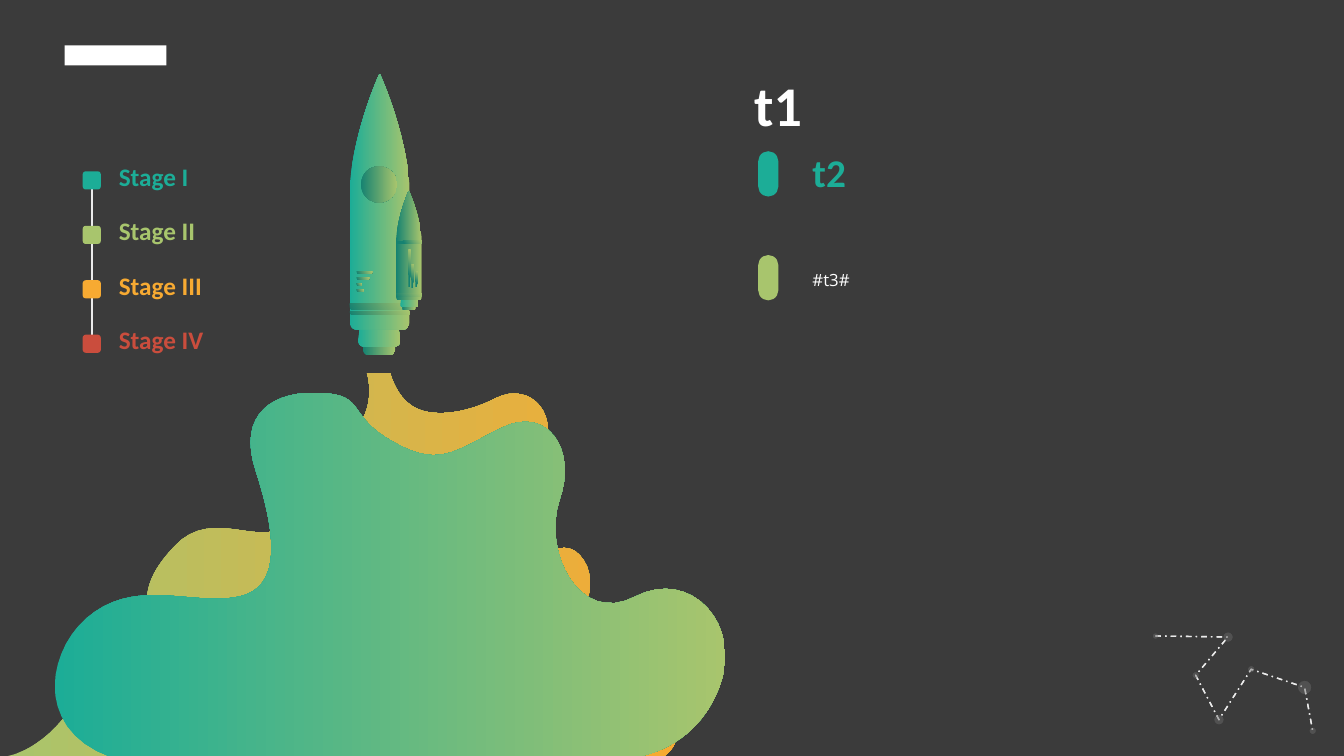
from lxml import etree
from pptx import Presentation
from pptx.dml.color import RGBColor
from pptx.enum.dml import MSO_LINE
from pptx.enum.shapes import MSO_CONNECTOR, MSO_SHAPE
from pptx.enum.text import MSO_ANCHOR, MSO_AUTO_SIZE, PP_ALIGN
from pptx.oxml.ns import qn
from pptx.util import Inches, Pt

RECTANGLE = MSO_SHAPE.RECTANGLE
ROUNDED = MSO_SHAPE.ROUNDED_RECTANGLE
OVAL = MSO_SHAPE.OVAL
TOP, MIDDLE, BOTTOM = MSO_ANCHOR.TOP, MSO_ANCHOR.MIDDLE, MSO_ANCHOR.BOTTOM
GROW, FIXED = MSO_AUTO_SIZE.SHAPE_TO_FIT_TEXT, MSO_AUTO_SIZE.NONE

COLORS = {
    "background": "3B3B3B", "white": "FFFFFF", "teal": "1CAD97", "deep": "158271",
    "green": "A8C56D", "orange": "F7AA32", "red": "CA4D3D", "pale": "EBEBEB",
    "gray": "D8D8D8", "shade": "1E1E1E",
}
STAGES = [("Stage I", "teal"), ("Stage II", "green"),
          ("Stage III", "orange"), ("Stage IV", "red")]
STARS = [(11.46, 6.31, 0.05), (12.18, 6.32, 0.09), (11.86, 6.7, 0.06),
         (12.09, 7.14, 0.09), (12.41, 6.64, 0.06), (12.94, 6.82, 0.13),
         (13.02, 7.25, 0.06)]
FLAME = [
    (3.64, 3.7), (3.64, 3.7, 3.74, 4.01, 3.53, 4.26), (3.33, 4.52, 3.07, 4.18, 2.88, 4.51),
    (2.69, 4.84, 3.13, 4.83, 2.88, 5.16), (2.63, 5.49, 2.12, 5, 1.73, 5.42),
    (1.33, 5.85, 1.57, 5.91, 1.32, 6.16), (1.07, 6.42, 1.14, 6.38, 0.76, 6.95),
    (0.39, 7.52, 0, 7.51, 0, 7.51), (6.57, 7.51), (6.57, 7.51, 6.92, 7.36, 6.63, 6.6),
    (6.33, 5.83, 6.15, 6.66, 5.88, 6.46), (5.61, 6.25, 5.99, 5.87, 5.79, 5.56),
    (5.58, 5.25, 5.42, 5.67, 5.01, 5.28), (4.6, 4.88, 5.14, 5.08, 5.36, 4.59),
    (5.59, 4.11, 5.26, 3.78, 4.92, 3.95), (4.59, 4.12, 4.26, 4.14, 4.09, 4.03),
    (3.92, 3.92, 3.87, 3.7, 3.87, 3.7),
]
CLOUD = [
    (6.3, 7.51), (6.3, 7.51, 6.88, 7.46, 7.13, 6.83), (7.38, 6.2, 6.85, 5.63, 6.3, 5.92),
    (5.74, 6.21, 5.38, 5.47, 5.55, 4.96), (5.73, 4.45, 5.42, 4.03, 4.99, 4.24),
    (4.56, 4.44, 4.38, 4.66, 3.91, 4.39), (3.43, 4.13, 3.64, 3.92, 3.19, 3.9),
    (2.73, 3.87, 2.34, 4.09, 2.54, 4.68), (2.73, 5.27, 2.81, 5.83, 2.37, 5.92),
    (1.92, 6.01, 1.4, 5.75, 0.94, 6.07), (0.48, 6.38, 0.29, 7.22, 1.1, 7.51),
]
HULL = [
    (1, 0.43), (0.92, 0.21, 0.5, 0, 0.5, 0), (0.5, 0, 0.08, 0.21, 0, 0.43), (0, 0.97),
    (0, 0.99, 0.05, 1, 0.12, 1), (0.88, 1), (0.95, 1, 1, 0.99, 1, 0.97),
]
NOZZLE = [
    (1, 0.81), (0.91, 0), (0.09, 0), (0, 0.81),
    (0, 0.91, 0.06, 1, 0.16, 1), (0.84, 1), (0.94, 1, 1, 0.91, 1, 0.81),
]


def rgb(name):
    """Return the named colour."""
    return RGBColor.from_string(COLORS[name])


def paint(shape, color, angle=0, start=0, alpha=None):
    """Fill with one colour, or with a gradient when given a pair of colours."""
    shape.shadow.inherit = False
    shape.line.fill.background()
    if isinstance(color, tuple):
        shape.fill.gradient()
        shape.fill.gradient_angle = angle
        for stop, name, position in zip(shape.fill.gradient_stops, color, (start, 1)):
            stop.color.rgb = rgb(name)
            stop.position = position
        return
    shape.fill.solid()
    shape.fill.fore_color.rgb = rgb(color)
    if alpha is not None:
        value = shape.fill._xPr.find(".//" + qn("a:srgbClr"))
        etree.SubElement(value, qn("a:alpha")).set("val", str(alpha * 1000))


def add_preset(shapes, kind, box, color, **fill):
    """Add a filled preset shape."""
    shape = shapes.add_shape(kind, *map(Inches, box))
    paint(shape, color, **fill)
    return shape


def trace(segments, steps=16):
    """Turn line and cubic curve segments into a list of points."""
    points = [segments[0]]
    for segment in segments[1:]:
        if len(segment) == 2:
            points.append(segment)
            continue
        controls = [points[-1], segment[:2], segment[2:4], segment[4:]]
        for step in range(1, steps + 1):
            t = step / steps
            weights = ((1 - t) ** 3, 3 * t * (1 - t) ** 2, 3 * t * t * (1 - t), t ** 3)
            points.append(tuple(sum(weight * control[axis] for weight, control
                                    in zip(weights, controls)) for axis in (0, 1)))
    return points


def add_outline(shapes, segments, box=(0, 0, 1, 1), close=True):
    """Add a freeform, its segments scaled into the box."""
    left, top, width, height = box
    points = [(Inches(left + x * width), Inches(top + y * height))
              for x, y in trace(segments)]
    builder = shapes.build_freeform(*points[0], scale=1.0)
    builder.add_line_segments(points[1:], close=close)
    return builder.convert_to_shape()


def write_text(shape, text, size, color, font="Calibri", bold=True, anchor=TOP,
               auto_size=GROW, line_spacing=None, space_before=None):
    """Put formatted text into a shape."""
    frame = shape.text_frame
    frame.word_wrap = True
    frame.auto_size = auto_size
    frame.vertical_anchor = anchor
    paragraph = frame.paragraphs[0]
    paragraph.alignment = PP_ALIGN.LEFT
    paragraph.line_spacing = line_spacing
    paragraph.space_before = space_before
    run = paragraph.add_run()
    run.text = text
    run.font.name, run.font.size, run.font.bold = font, Pt(size), bold
    run.font.color.rgb = rgb(color)


def add_text(shapes, box, text, size, color, **text_format):
    """Add a text box."""
    write_text(shapes.add_textbox(*map(Inches, box)), text, size, color, **text_format)


def add_constellation(shapes, line_color, star_color):
    """Add a dash-dot line with a translucent star at each bend."""
    group = shapes.add_group_shape().shapes
    path_line = add_outline(group, [(x, y) for x, y, _ in STARS], close=False)
    path_line.shadow.inherit = False
    path_line.fill.background()
    path_line.line.color.rgb = rgb(line_color)
    path_line.line.width = Pt(1)
    path_line.line.dash_style = MSO_LINE.DASH_DOT
    for x, y, size in STARS:
        add_preset(group, OVAL, (x - size / 2, y - size / 2, size, size),
                   star_color, alpha=28)


def add_timeline(shapes):
    """Add the vertical line with its four stages."""
    line = shapes.add_connector(MSO_CONNECTOR.STRAIGHT, Inches(0.91), Inches(1.83),
                                Inches(0.91), Inches(3.49))
    line.line.color.rgb = rgb("pale")
    line.line.width = Pt(1.5)
    etree.SubElement(line._element.spPr, qn("a:effectLst"))
    for index, (label, color) in enumerate(STAGES):
        top = 1.7 + 0.54 * index
        add_preset(shapes, ROUNDED, (0.82, top, 0.18, 0.18), color)
        add_text(shapes, (1.08, top - 0.15, 1.26, 0.4), label, 18, color)


def add_rocket(shapes):
    """Add the rocket and its booster."""
    group = shapes.add_group_shape().shapes
    light, dark = ("teal", "green"), ("deep", "green")

    def add_parts(parts):
        for segments, box, colors in parts:
            paint(add_outline(group, segments, box), colors)

    def add_bars(boxes, start=0):
        for box in boxes:
            add_preset(group, RECTANGLE, box, dark, angle=30, start=start)

    add_parts([(NOZZLE, (3.6, 3.2, 0.32, 0.32), dark),
               (NOZZLE, (3.55, 3.12, 0.42, 0.32), light),
               (HULL, (3.47, 0.73, 0.59, 2.54), light)])
    add_preset(group, OVAL, (3.58, 1.65, 0.36, 0.36), dark)
    add_bars([(3.47, 3.09, 0.59, 0.03), (3.47, 3.01, 0.59, 0.06)])
    add_bars([(3.54, 2.69 + 0.06 * row, width, 0.02)
              for row, width in enumerate((0.15, 0.12, 0.05, 0.07))])
    add_parts([(NOZZLE, (3.99, 2.95, 0.13, 0.13), dark),
               (NOZZLE, (3.97, 2.91, 0.18, 0.14), light),
               (HULL, (3.93, 1.89, 0.25, 1.09), dark)])
    add_bars([(3.93, 2.91, 0.25, 0.03)])
    add_bars([(3.93, 2.39, 0.25, 0.03), (4.05, 2.48, 0.02, 0.37),
              (4.08, 2.62, 0.02, 0.24), (4.12, 2.69, 0.02, 0.16)], start=0.31)


def main():
    """Build the slide and save it."""
    presentation = Presentation()
    presentation.slide_width, presentation.slide_height = Inches(13.33), Inches(7.5)
    slide = presentation.slides.add_slide(presentation.slide_layouts[5])
    slide.background.fill.solid()
    slide.background.fill.fore_color.rgb = rgb("background")
    shapes = slide.shapes
    title = shapes.title
    title.left, title.top, title.width, title.height = map(Inches, (7.38, 0.53, 6.1, 0.89))
    write_text(title, "t1", 40, "white", anchor=BOTTOM, auto_size=FIXED,
               space_before=Pt(10))
    add_constellation(shapes, "gray", "gray")
    add_constellation(shapes, "pale", "shade")
    add_preset(shapes, RECTANGLE, (0.64, 0.45, 1.01, 0.2), "white")
    paint(add_outline(shapes, FLAME), ("green", "orange"))
    paint(add_outline(shapes, CLOUD), ("teal", "green"))
    add_timeline(shapes)
    add_rocket(shapes)
    for top, color in ((1.5, "teal"), (2.53, "green")):
        add_preset(shapes, ROUNDED, (7.52, top, 0.2, 0.45), color).adjustments[0] = 0.5
    add_text(shapes, (7.96, 1.42, 5.28, 0.57), "t2", 28, "teal", anchor=MIDDLE)
    add_text(shapes, (7.96, 2.53, 5.28, 0.37), "#t3#", 12, "white", font="Open Sans",
             bold=False, line_spacing=1.5)
    presentation.save("out.pptx")


if __name__ == "__main__":
    main()
